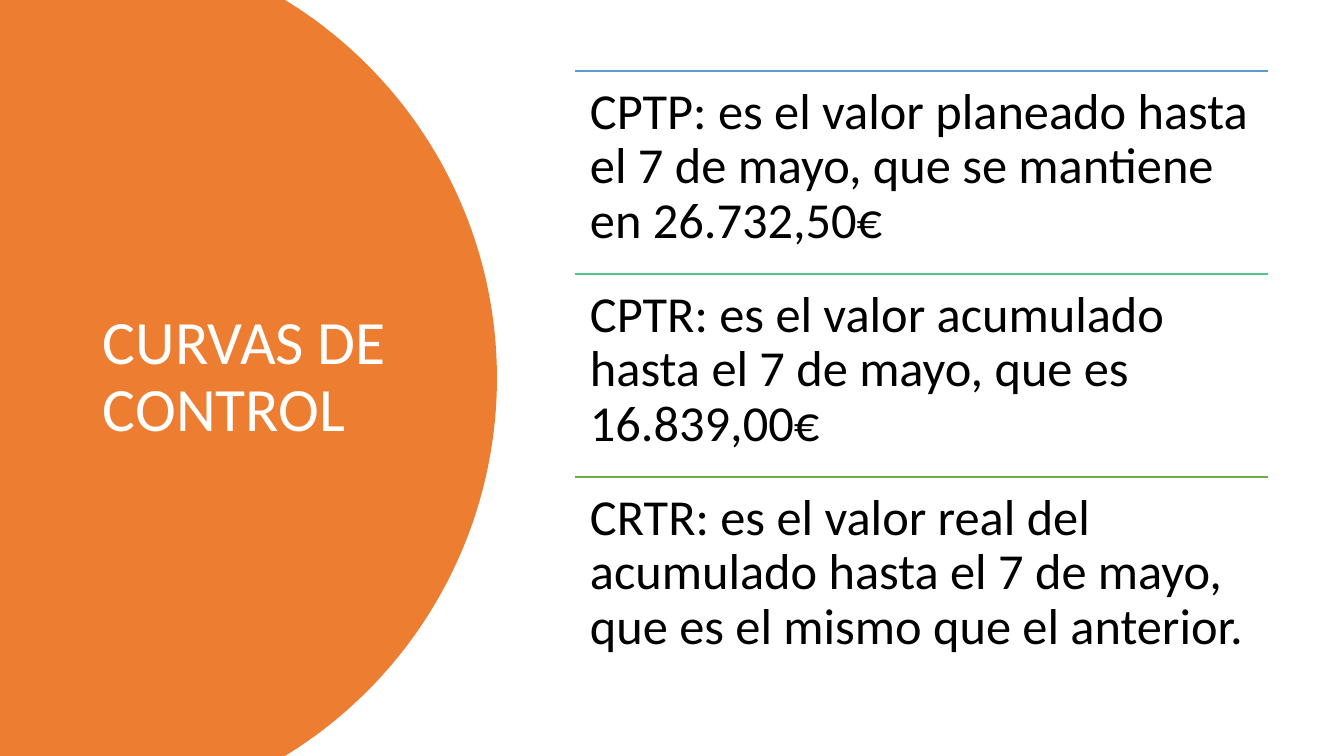
"""Build the control curves slide: a title on a rounded panel and three ruled definitions."""
from math import asin, cos, sin

from lxml.etree import SubElement
from pptx import Presentation
from pptx.dml.color import RGBColor
from pptx.enum.shapes import MSO_CONNECTOR
from pptx.enum.text import MSO_ANCHOR
from pptx.oxml.ns import qn
from pptx.util import Emu, Pt

SLIDE_WIDTH, SLIDE_HEIGHT = 1344, 756
EMU_PER_PX = 12192000 / SLIDE_WIDTH
FONT = "Calibri"
COLORS = {
    "panel": "ED7D31",
    "title": "FFFFFF",
    "body": "000000",
    "blue": "5B9BD5",
    "teal": "4DC58D",
    "green": "70AD47",
}


def px(length):
    return Emu(round(length * EMU_PER_PX))


def add_text(slide, box, text, size, color, anchor, insets):
    shape = slide.shapes.add_textbox(*map(px, box))
    frame = shape.text_frame
    frame.word_wrap = True
    frame.vertical_anchor = anchor
    frame.margin_left = frame.margin_right = px(insets[0])
    frame.margin_top = frame.margin_bottom = px(insets[1])
    frame.text = text
    paragraph = frame.paragraphs[0]
    paragraph.line_spacing = 0.9
    font = paragraph.runs[0].font
    font.name = FONT
    font.size = Pt(size)
    font.color.rgb = RGBColor.from_string(COLORS[color])


presentation = Presentation()
presentation.slide_width = px(SLIDE_WIDTH)
presentation.slide_height = px(SLIDE_HEIGHT)
slide = presentation.slides.add_slide(presentation.slide_layouts[6])

CENTER_X, CENTER_Y, RADIUS = 54, SLIDE_HEIGHT // 2, 443
ARC_STEPS = 120
half_angle = asin(CENTER_Y / RADIUS)
angles = [half_angle * (2 * step / ARC_STEPS - 1) for step in range(ARC_STEPS + 1)]
arc = [
    (px(CENTER_X + RADIUS * cos(angle)), px(CENTER_Y + RADIUS * sin(angle)))
    for angle in angles
]
builder = slide.shapes.build_freeform(0, 0)
builder.add_line_segments(arc + [(0, px(SLIDE_HEIGHT))], close=True)
panel = builder.convert_to_shape()
panel.shadow.inherit = False
panel.fill.solid()
panel.fill.fore_color.rgb = RGBColor.from_string(COLORS["panel"])
panel.line.fill.background()

add_text(slide, (93, 71, 326, 614), "CURVAS DE CONTROL", 44, "title",
         MSO_ANCHOR.MIDDLE, (10, 5))

LIST_LEFT, LIST_TOP, LIST_WIDTH, ROW_HEIGHT = 575, 71, 693, 203
definitions = [
    ("blue", "CPTP: es el valor planeado hasta el 7 de mayo, que se mantiene en 26.732,50€"),
    ("teal", "CPTR: es el valor acumulado hasta el 7 de mayo, que es 16.839,00€"),
    ("green", "CRTR: es el valor real del acumulado hasta el 7 de mayo, que es el mismo que el anterior."),
]
for row, (color, text) in enumerate(definitions):
    top = LIST_TOP + row * ROW_HEIGHT
    rule = slide.shapes.add_connector(
        MSO_CONNECTOR.STRAIGHT,
        px(LIST_LEFT), px(top), px(LIST_LEFT + LIST_WIDTH), px(top),
    )
    rule.line.color.rgb = RGBColor.from_string(COLORS[color])
    rule.line.width = Pt(1)
    SubElement(rule._element.spPr, qn("a:effectLst"))
    add_text(slide, (LIST_LEFT, top, LIST_WIDTH, ROW_HEIGHT), text, 36, "body",
             MSO_ANCHOR.TOP, (15, 15))

presentation.save("out.pptx")
